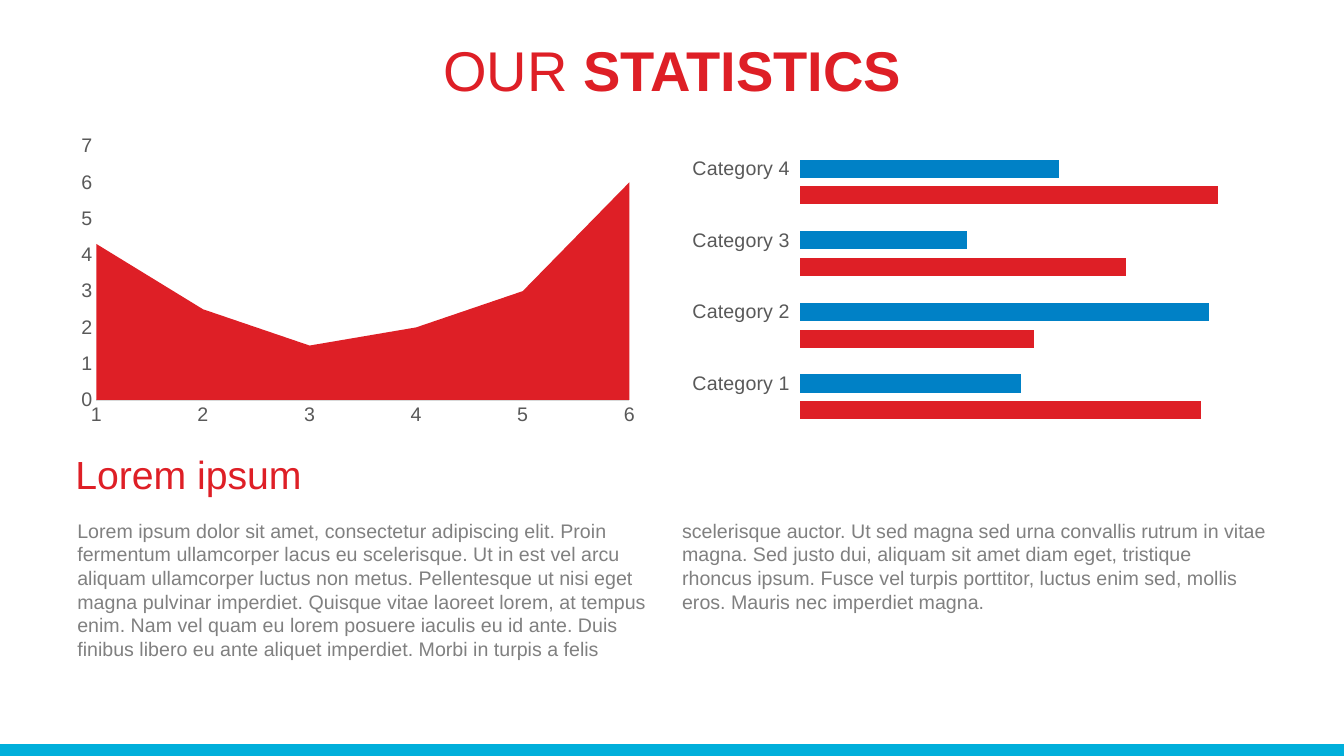
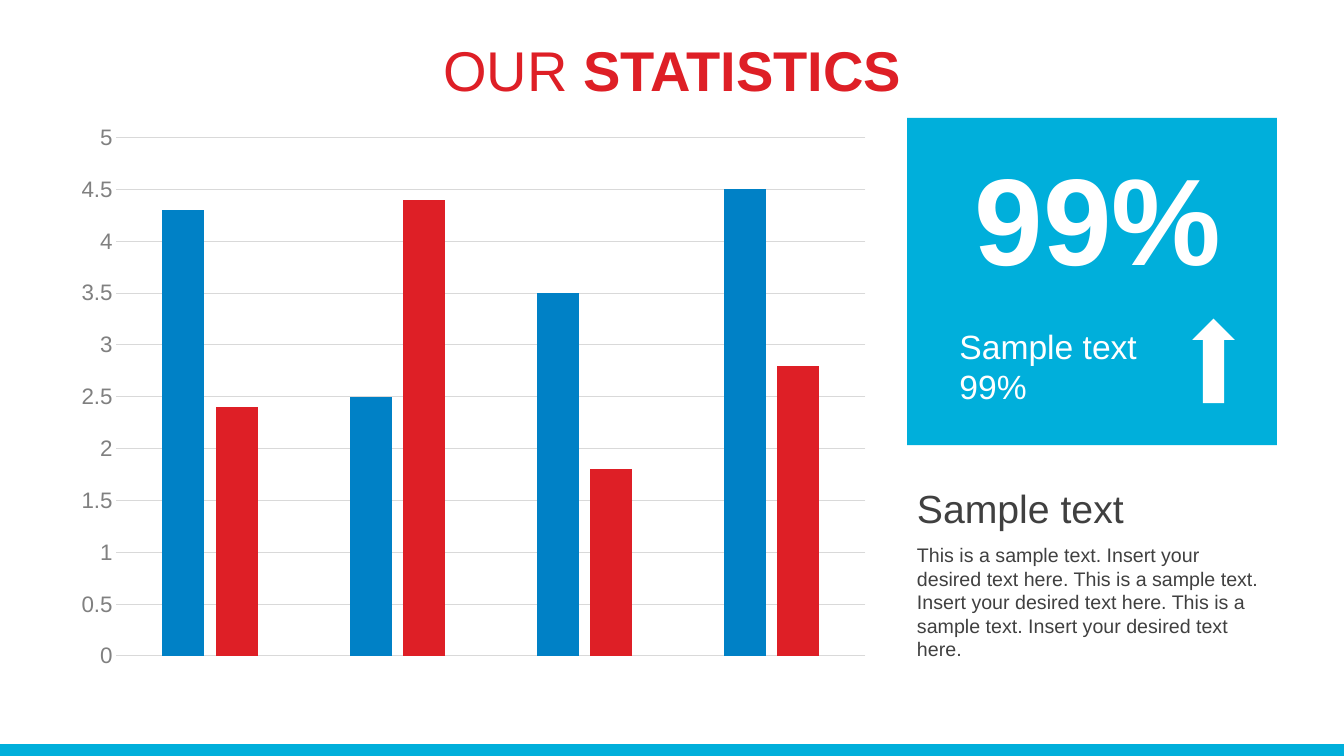
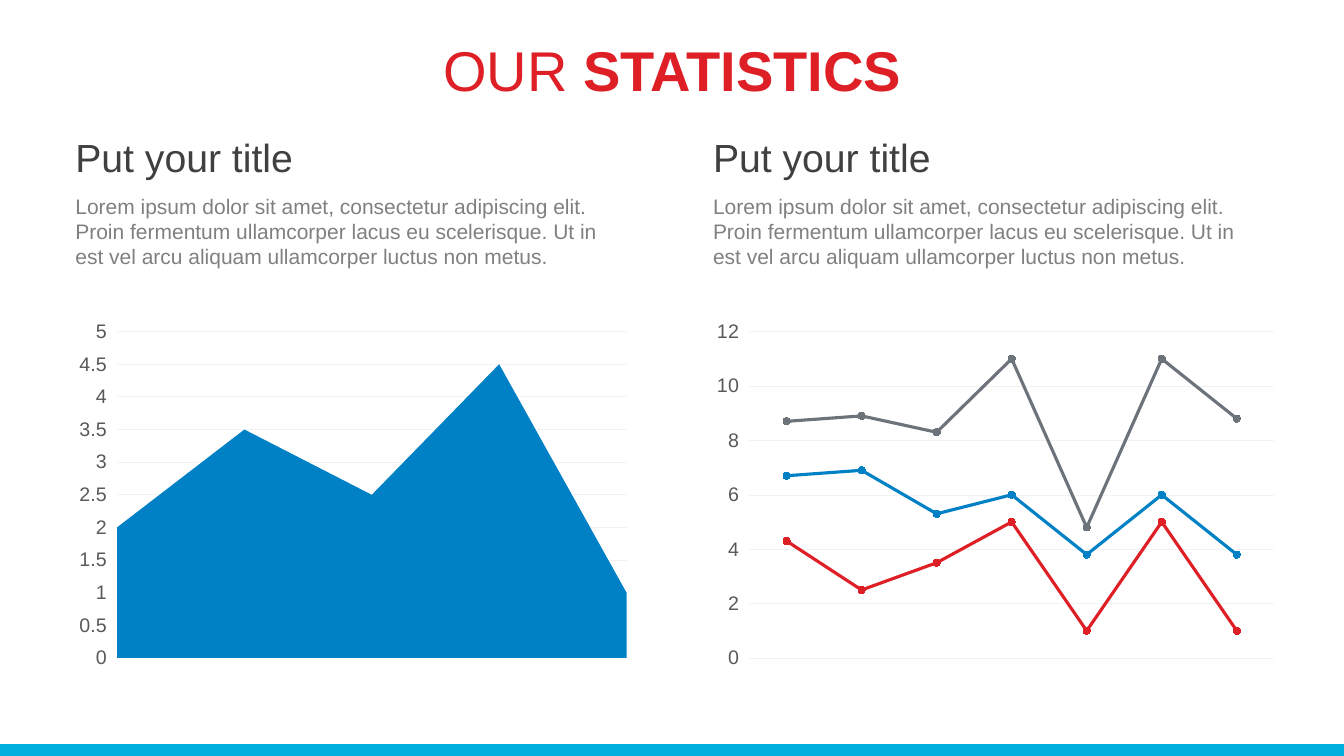
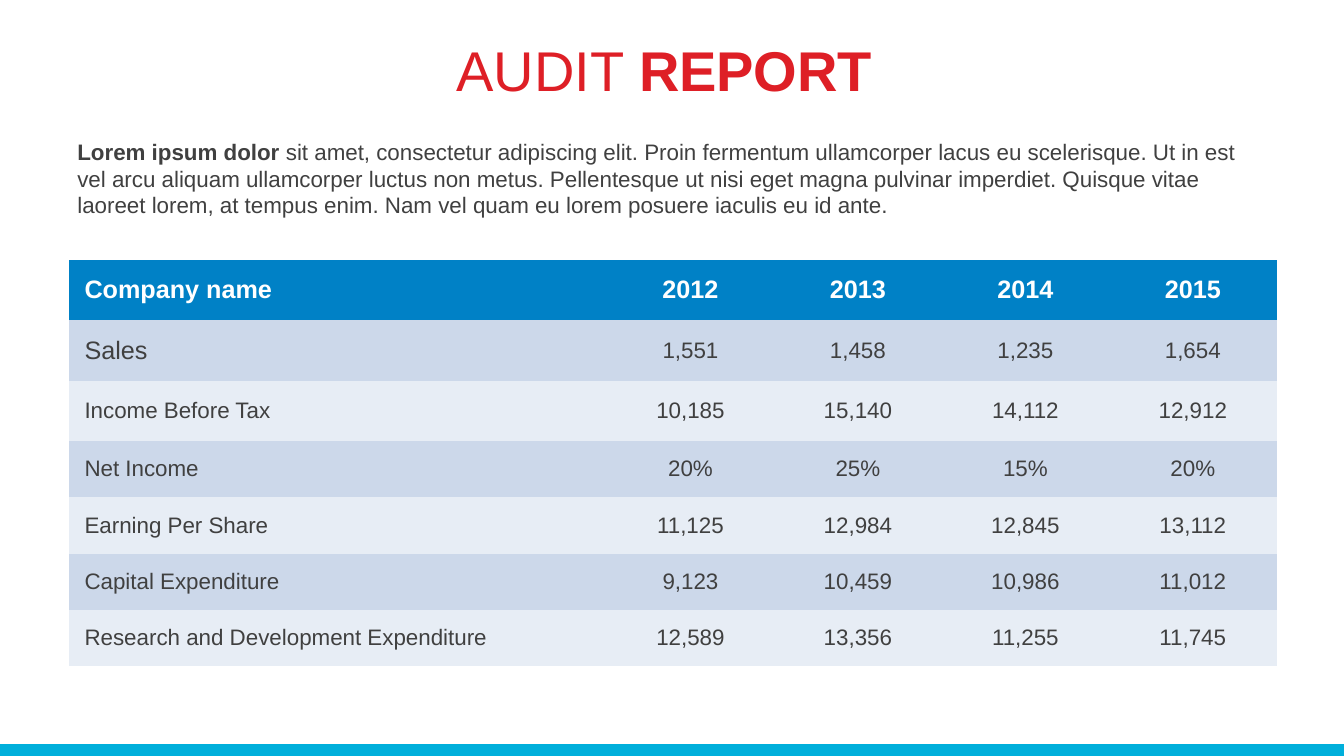
from lxml.etree import SubElement
from pptx import Presentation
from pptx.chart.data import CategoryChartData
from pptx.dml.color import RGBColor
from pptx.enum.chart import XL_CHART_TYPE as ChartType, XL_MARKER_STYLE as Marker, XL_TICK_MARK as Tick
from pptx.enum.shapes import MSO_SHAPE as Shape
from pptx.enum.text import MSO_ANCHOR as Anchor, PP_ALIGN as Align
from pptx.oxml.ns import qn
from pptx.util import Cm, Pt

RED = RGBColor(0xDE, 0x1F, 0x26)
BLUE = RGBColor(0x00, 0x81, 0xC6)
CYAN = RGBColor(0x00, 0xAF, 0xDB)
SLATE = RGBColor(0x6D, 0x73, 0x7B)
WHITE = RGBColor(0xFF, 0xFF, 0xFF)
DARK = RGBColor(0x40, 0x40, 0x40)
AXIS_GREY = RGBColor(0x59, 0x59, 0x59)
GREY = RGBColor(0x80, 0x80, 0x80)
RULE_GREY = RGBColor(0xD9, 0xD9, 0xD9)
PALE_GREY = RGBColor(0xF2, 0xF2, 0xF2)
BAND_DARK = RGBColor(0xCC, 0xD8, 0xEA)
BAND_LIGHT = RGBColor(0xE7, 0xED, 0xF5)

FONT = "Arial"
WIDTH, HEIGHT = 33.87, 19.05
LEFT, CONTENT_WIDTH = 1.7, 30.48
PLAIN_TABLE = "{2D5ABB26-0587-4C30-8999-92F81FD0307C}"

LOREM = (
    "Lorem ipsum dolor sit amet, consectetur adipiscing elit. Proin fermentum ullamcorper "
    "lacus eu scelerisque. Ut in est vel arcu aliquam ullamcorper luctus non metus."
)
LOREM_MORE = (
    " Pellentesque ut nisi eget magna pulvinar imperdiet. Quisque vitae laoreet lorem, at "
    "tempus enim. Nam vel quam eu lorem posuere iaculis eu id ante."
)
LOREM_END = (
    " Duis finibus libero eu ante aliquet imperdiet. Morbi in turpis a felis scelerisque "
    "auctor. Ut sed magna sed urna convallis rutrum in vitae magna. Sed justo dui, aliquam "
    "sit amet diam eget, tristique rhoncus ipsum. Fusce vel turpis porttitor, luctus enim "
    "sed, mollis eros. Mauris nec imperdiet magna."
)
AUDIT_ROWS = [
    ("Company name", "2012", "2013", "2014", "2015"),
    ("Sales", "1,551", "1,458", "1,235", "1,654"),
    ("Income Before Tax", "10,185", "15,140", "14,112", "12,912"),
    ("Net Income", "20%", "25%", "15%", "20%"),
    ("Earning Per Share", "11,125", "12,984", "12,845", "13,112"),
    ("Capital Expenditure", "9,123", "10,459", "10,986", "11,012"),
    ("Research and Development Expenditure", "12,589", "13,356", "11,255", "11,745"),
]


class Deck:
    """Holds the shared style and the current slide."""

    def __init__(self):
        self.show = Presentation()
        self.show.slide_width, self.show.slide_height = Cm(WIDTH), Cm(HEIGHT)
        self.slide = None

    def new_slide(self, light, strong):
        self.slide = self.show.slides.add_slide(self.show.slide_layouts[6])
        self.shape(Shape.RECTANGLE, (0, 18.75, WIDTH, 0.3), CYAN)
        title = self.text((LEFT, 0.76, CONTENT_WIDTH, 1.98), light, 40, RED, tail=strong)
        title.vertical_anchor = Anchor.MIDDLE
        title.margin_left = title.margin_right = Cm(0.33)
        title.paragraphs[0].alignment = Align.CENTER

    def shape(self, kind, place, color):
        shape = self.slide.shapes.add_shape(kind, *map(Cm, place))
        shape.shadow.inherit = False
        shape.fill.solid()
        shape.fill.fore_color.rgb = color
        shape.line.fill.background()

    def style(self, font, size, color, bold=False):
        font.name, font.size, font.bold = FONT, Pt(size), bold
        font.color.rgb = color

    def text(self, place, words, size, color, bold=False, tail="", wrap=True):
        frame = self.slide.shapes.add_textbox(*map(Cm, place)).text_frame
        frame.word_wrap = wrap
        frame.text = words
        for paragraph in frame.paragraphs:
            for run in paragraph.runs:
                self.style(run.font, size, color, bold)
        if tail:
            run = frame.paragraphs[0].add_run()
            run.text = tail
            self.style(run.font, size, color, not bold)
        return frame

    def columns(self, frame, count, gap):
        body = frame._txBody.bodyPr
        body.set("numCol", str(count))
        body.set("spcCol", str(Cm(gap)))

    def chart(self, kind, place, plot, categories, series):
        data = CategoryChartData()
        data.categories = categories
        for number, (values, _) in enumerate(series, 1):
            data.add_series(f"Series {number}", values)
        chart = self.slide.shapes.add_chart(kind, *map(Cm, place), data).chart
        chart.has_legend = chart.has_title = False
        self.style(chart.font, 14, AXIS_GREY)
        chart.plots[0].vary_by_categories = False
        for item, (_, color) in zip(chart.plots[0].series, series):
            if kind == ChartType.LINE_MARKERS_STACKED:
                item.smooth = False
                item.format.line.color.rgb = color
                item.format.line.width = Pt(2.25)
                item.marker.style, item.marker.size = Marker.CIRCLE, 5
                target = item.marker.format
                target.line.color.rgb = color
            else:
                target = item.format
            target.fill.solid()
            target.fill.fore_color.rgb = color
        self.place_plot(chart, plot)
        if kind == ChartType.AREA:
            for crossing in chart._chartSpace.iter(qn("c:crossBetween")):
                crossing.set("val", "midCat")
        return chart

    def place_plot(self, chart, plot):
        area = chart._chartSpace.chart.plotArea
        for old in area.findall(qn("c:layout")):
            area.remove(old)
        layout = SubElement(area, qn("c:layout"))
        area.insert(0, layout)
        manual = SubElement(layout, qn("c:manualLayout"))
        settings = [("layoutTarget", "inner"), ("xMode", "edge"), ("yMode", "edge")]
        for name, value in settings + list(zip("xywh", plot)):
            SubElement(manual, qn(f"c:{name}")).set("val", str(value))

    def scale(self, chart, top, step, grid=None, width=0.75, tick=Tick.NONE, size=14, color=AXIS_GREY):
        axis = chart.value_axis
        axis.minimum_scale, axis.maximum_scale, axis.major_unit = 0, top, step
        axis.major_tick_mark = tick
        axis.format.line.fill.background()
        self.style(axis.tick_labels.font, size, color)
        axis.has_major_gridlines = grid is not None
        if grid is not None:
            line = axis.major_gridlines.format.line
            line.color.rgb, line.width = grid, Pt(width)

    def table(self, place, rows, widths, heights):
        frame = self.slide.shapes.add_table(len(rows), len(widths), *map(Cm, place))
        table = frame.table
        table.horz_banding = False
        table._tbl.tblPr.find(qn("a:tableStyleId")).text = PLAIN_TABLE
        for column, width in zip(table.columns, widths):
            column.width = Cm(width)
        for r, (row, height) in enumerate(zip(rows, heights)):
            table.rows[r].height = Cm(height)
            header = r == 0
            fill = BLUE if header else (BAND_LIGHT, BAND_DARK)[r % 2]
            for c, words in enumerate(row):
                cell = table.cell(r, c)
                cell.fill.solid()
                cell.fill.fore_color.rgb = fill
                cell.vertical_anchor = Anchor.MIDDLE
                cell.margin_left = cell.margin_right = Cm(0.4)
                paragraph = cell.text_frame.paragraphs[0]
                paragraph.text = words
                paragraph.alignment = Align.CENTER if c else Align.LEFT
                size = 18 if header or words == "Sales" else 16
                self.style(paragraph.runs[0].font, size, WHITE if header else DARK, header)


def trends(deck):
    deck.new_slide("OUR", " STATISTICS")
    bars = deck.chart(
        ChartType.BAR_CLUSTERED, (17.15, 3.2, 15.04, 7.52), (0.2, 0.02, 0.77, 0.96),
        [f"Category {n}" for n in range(1, 5)],
        [((96, 56, 78, 100), RED), ((53, 98, 40, 62), BLUE), ((None,) * 4, CYAN)],
    )
    bars.plots[0].gap_width, bars.plots[0].overlap = 0, -48
    deck.scale(bars, 110, 10)
    bars.value_axis.visible = False
    bars.category_axis.format.line.fill.background()

    area = deck.chart(
        ChartType.AREA, (LEFT, 3.3, 14.6, 7.62), (0.05, 0.05, 0.92, 0.84),
        [str(n) for n in range(1, 7)], [((4.3, 2.5, 1.5, 2, 3, 6), RED)],
    )
    deck.scale(area, 7, 1)
    area.category_axis.major_tick_mark = Tick.NONE
    area.category_axis.format.line.color.rgb = RULE_GREY

    deck.text((1.65, 11.23, 30.53, 1.45), "Lorem ipsum", 28, RED)
    body = deck.text((LEFT, 12.95, CONTENT_WIDTH, 3.84), LOREM + LOREM_MORE + LOREM_END, 14, GREY)
    deck.columns(body, 2, 0.5)


def highlight(deck):
    deck.new_slide("OUR", " STATISTICS")
    bars = deck.chart(
        ChartType.COLUMN_CLUSTERED, (LEFT, 2.9, 20.52, 14.2), (0.06, 0.04, 0.92, 0.92),
        ["1", "2", "3", "4"], [((4.3, 2.5, 3.5, 4.5), BLUE), ((2.4, 4.4, 1.8, 2.8), RED)],
    )
    bars.plots[0].gap_width, bars.plots[0].overlap = 219, -27
    bars.category_axis.visible = False
    deck.scale(bars, 5, 0.5, RULE_GREY, size=16, color=GREY)

    deck.shape(Shape.RECTANGLE, (22.86, 2.97, 9.32, 8.25), CYAN)
    deck.shape(Shape.UP_ARROW, (30.05, 8.03, 1.07, 2.13), WHITE)
    deck.text((24.31, 3.45, 6.78, 4.01), "99%", 88, WHITE, bold=True, wrap=False)
    deck.text((23.93, 8.08, 5.03, 2.31), "Sample text\n99%", 24, WHITE, wrap=False)
    deck.text((22.86, 12.07, 8.25, 1.45), "Sample text", 28, DARK)
    sample = " ".join(["This is a sample text. Insert your desired text here."] * 3)
    deck.text((22.86, 13.56, 9.32, 3.25), sample, 14, DARK)


def comparison(deck):
    deck.new_slide("OUR", " STATISTICS")
    for left in (1.65, 17.72):
        deck.text((left, 3.23, 14.45, 1.45), "Put your title", 28, DARK)
        deck.text((left, 4.75, 14.43, 2.18), LOREM, 15, GREY)

    area = deck.chart(
        ChartType.AREA, (1.65, 7.9, 14.43, 9.14), (0.09, 0.05, 0.89, 0.9),
        [str(n) for n in range(1, 6)], [((2, 3.5, 2.5, 4.5, 1), BLUE)],
    )
    lines = deck.chart(
        ChartType.LINE_MARKERS_STACKED, (17.7, 7.9, 14.71, 9.14), (0.08, 0.05, 0.9, 0.9),
        [str(n) for n in range(1, 8)],
        [
            ((4.3, 2.5, 3.5, 5, 1, 5, 1), RED),
            ((2.4, 4.4, 1.8, 1, 2.8, 1, 2.8), BLUE),
            ((2, 2, 3, 5, 1, 5, 5), SLATE),
        ],
    )
    for chart, top, step, width in ((area, 5, 0.5, 0.75), (lines, 12, 2, 0.25)):
        deck.scale(chart, top, step, PALE_GREY, width, Tick.OUTSIDE)
        chart.category_axis.visible = False


def audit(deck):
    deck.new_slide("AUDIT ", "REPORT ")
    lead = "Lorem ipsum dolor "
    rest = (LOREM + LOREM_MORE).removeprefix(lead)
    deck.text((LEFT, 3.35, CONTENT_WIDTH, 2.31), lead, 16, DARK, bold=True, tail=rest)
    widths = [13.56] + [4.22] * 4
    heights = [1.52] * 3 + [1.42] * 4
    deck.table((1.73, 6.55, sum(widths), sum(heights)), AUDIT_ROWS, widths, heights)


def main():
    deck = Deck()
    for build in (trends, highlight, comparison, audit):
        build(deck)
    deck.show.save("out.pptx")


if __name__ == "__main__":
    main()
